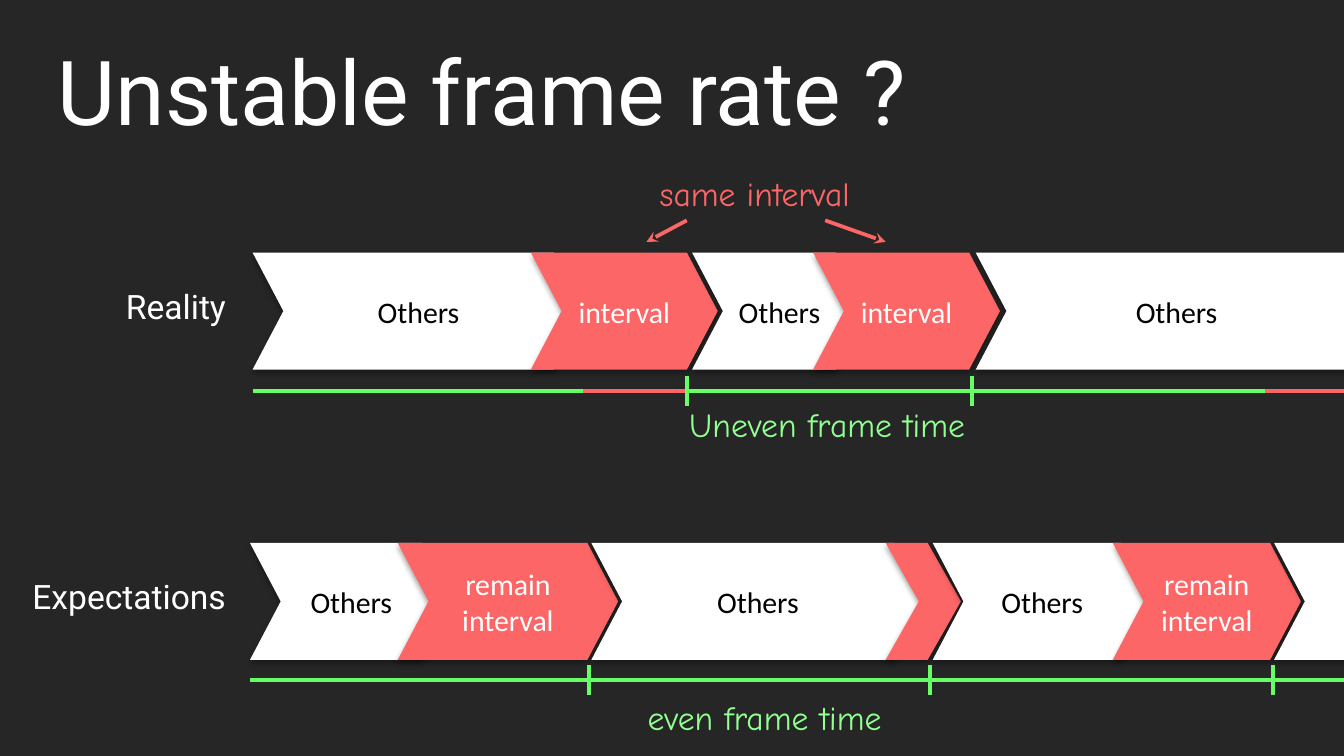
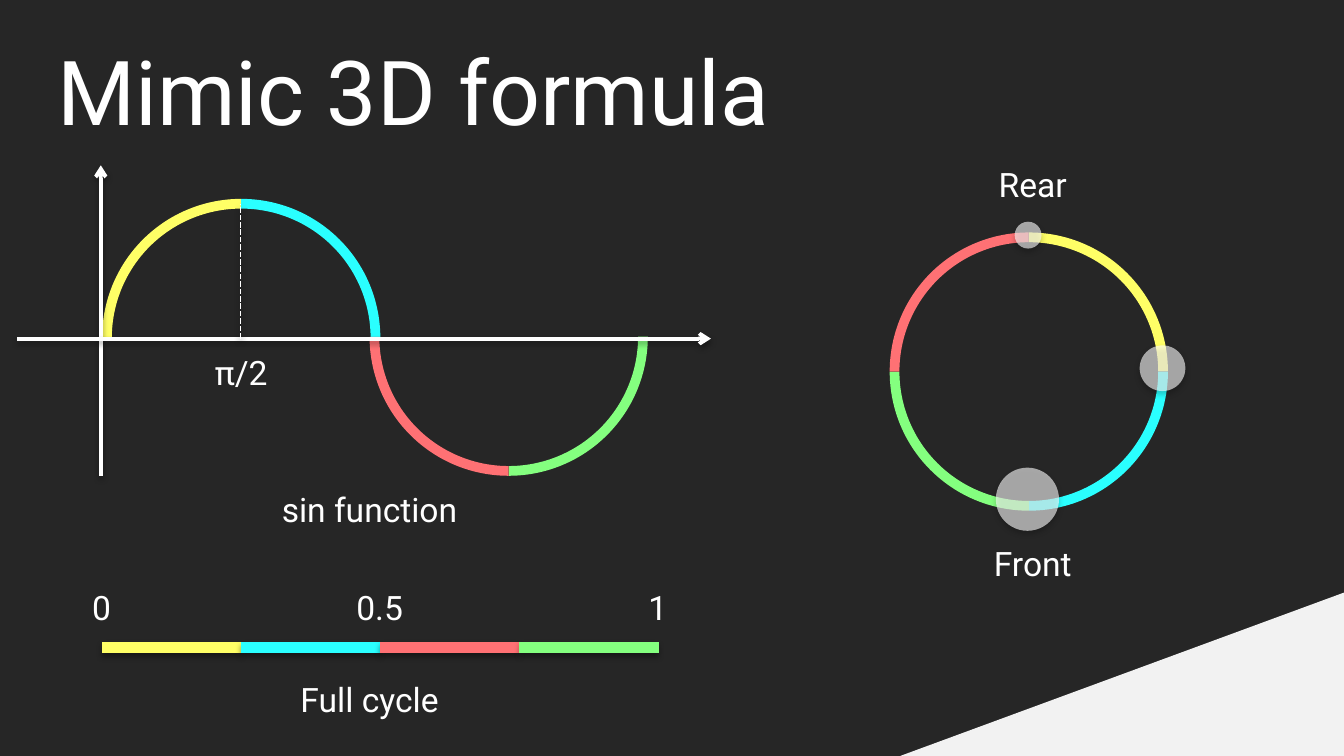
import dataclasses
import typing

import lxml.etree
import pptx
import pptx.dml.color
import pptx.enum.dml
import pptx.enum.shapes
import pptx.enum.text
import pptx.oxml.ns
import pptx.util

Pt = pptx.util.Pt
qn = pptx.oxml.ns.qn
SHAPE = pptx.enum.shapes.MSO_SHAPE
ALIGN = pptx.enum.text.PP_ALIGN
ANCHOR = pptx.enum.text.MSO_ANCHOR
FIT = pptx.enum.text.MSO_AUTO_SIZE

COLORS = {
    "back": "262626", "white": "FFFFFF", "black": "000000", "corner": "F2F2F2",
    "interval": "FD6666", "timeline": "66FF66", "caption": "91FF91",
    "yellow": "FFFF66", "cyan": "2AFFFF", "red": "FF7174", "green": "84FF7F",
}
FONTS = {
    "title": {"name": "Roboto", "size": Pt(48)},
    "label": {"name": "Roboto", "size": Pt(18)},
    "step": {"name": "Calibri", "size": Pt(16)},
    "caption": {"name": "Comic Neue", "size": Pt(18)},
}
FIXED = {"word_wrap": True, "auto_size": FIT.NONE}
GROWING = {"word_wrap": True, "auto_size": FIT.SHAPE_TO_FIT_TEXT}
UNWRAPPED = {"word_wrap": False, "auto_size": FIT.SHAPE_TO_FIT_TEXT}
CENTERED = {"word_wrap": True, "vertical_anchor": ANCHOR.MIDDLE}

CHEVRON_HEIGHT = 62.64
ARC_SIZE = 149.04
TICK_REACH = 7.92


class Area(typing.NamedTuple):
    left: float
    top: float
    width: float
    height: float


class Step(typing.NamedTuple):
    left: float
    width: float
    color: str
    text: str = ""
    notch: float = 0.263


class Caption(typing.NamedTuple):
    text: str
    color: str
    area: Area


@dataclasses.dataclass
class Timeline:
    label: str
    top: float
    left: float
    line_y: float
    frames: list[list[Step]]
    ticks: list[float]
    red_spans: list[tuple[float, float]]
    caption: Caption


TIMELINES = [
    Timeline(
        "Reality", 135.36, 135.36, 209.52,
        [[Step(135.36, 177.84, "white", "Others"), Step(284.4, 100.08, "interval", "interval")],
         [Step(370.8, 93.6, "white", "Others"), Step(435.6, 100.08, "interval", "interval")],
         [Step(522.72, 215.28, "white", "Others")]],
        [367.92, 520.56],
        [(312.48, 367.2), (677.52, 732.24)],
        Caption("Uneven frame time", "caption", Area(362.16, 213.12, 167.04, 28.8)),
    ),
    Timeline(
        "Expectations", 290.88, 133.92, 364.32,
        [[Step(133.92, 108.72, "white", "Others"),
          Step(213.12, 118.08, "interval", "remain\ninterval")],
         [Step(316.8, 178.56, "white", "Others"), Step(474.48, 40.32, "interval", notch=0.441)],
         [Step(499.68, 117.36, "white", "Others"),
          Step(596.16, 100.8, "interval", "remain\ninterval")],
         [Step(682.56, 215.28, "white")]],
        [315.36, 498.24, 681.84],
        [],
        Caption("even frame time", "caption", Area(339.84, 370.08, 141.12, 28.8)),
    ),
]
SAME_INTERVAL = Caption("same interval", "interval", Area(346.32, 89.28, 123.12, 28.8))
INTERVAL_ARROWS = [((442.08, 118.08), (474.48, 129.6)), ((367.92, 118.08), (346.32, 129.6))]

CYCLE = ["yellow", "cyan", "red", "green"]
SINE_ARCS = [(54.72, 106.56, 0), (54.72, 106.56, 90), (198, 105.84, 270), (198, 105.84, 180)]
RING_ROTATIONS = [90, 180, 0, 270]
CYCLE_LEFT, CYCLE_Y, QUARTER = 54.72, 347.04, 74.52
DOTS = [(550.44, 267.48, 33.84), (550.8, 126, 14.4), (622.8, 197.28, 24.48)]
FORMULA_LABELS = [
    ("π/2", Area(105.84, 185.04, 46.8, 28.8)),
    ("Front", Area(519.84, 287.28, 66.96, 28.8)),
    ("Rear", Area(519.84, 84.24, 66.96, 28.8)),
    ("sin function", Area(93.6, 258.48, 208.8, 28.8)),
    ("Full cycle", Area(93.6, 360, 208.8, 28.8)),
] + [(text, Area(30.96 + 149.04 * index, 311.04, 46.8, 28.8))
     for index, text in enumerate(["0", "0.5", "1"])]


def rgb(color: str) -> pptx.dml.color.RGBColor:
    return pptx.dml.color.RGBColor.from_string(COLORS[color])


def apply_format(target: typing.Any, values: dict) -> None:
    for name, value in values.items():
        setattr(target, name, value)


def set_shadow(shape: typing.Any, opacity: int = 0, distance: float = 1.8) -> None:
    """Replace the theme shadow; an opacity of zero leaves none."""
    effects = lxml.etree.SubElement(shape._element.spPr, qn("a:effectLst"))
    if opacity:
        outer = lxml.etree.SubElement(
            effects, qn("a:outerShdw"), blurRad=str(Pt(3.1)), dist=str(Pt(distance)),
            dir="5400000", rotWithShape="0")
        tone = lxml.etree.SubElement(outer, qn("a:srgbClr"), val=COLORS["black"])
        lxml.etree.SubElement(tone, qn("a:alpha"), val=str(opacity * 1000))


def write_text(frame: typing.Any, text: str, font: str, color: str,
               align: typing.Any, layout: dict) -> None:
    apply_format(frame, layout)
    for index, line in enumerate(text.split("\n")):
        para = frame.add_paragraph() if index else frame.paragraphs[0]
        para.alignment = align
        span = para.add_run()
        span.text = line
        apply_format(span.font, FONTS[font])
        span.font.color.rgb = rgb(color)


def add_text(page: typing.Any, area: Area, text: str, font: str, color: str = "white",
             align: typing.Any = ALIGN.LEFT, layout: dict = FIXED) -> None:
    box = page.shapes.add_textbox(*map(Pt, area))
    write_text(box.text_frame, text, font, color, align, layout)


def add_shape(shapes: typing.Any, kind: typing.Any, area: Area, color: str,
              adjustments: typing.Sequence[float] = (), shadow: int = 0) -> typing.Any:
    shape = shapes.add_shape(kind, *map(Pt, area))
    for index, value in enumerate(adjustments):
        shape.adjustments[index] = value
    shape.fill.solid()
    shape.fill.fore_color.rgb = rgb(color)
    shape.line.fill.background()
    set_shadow(shape, shadow)
    return shape


def add_line(page: typing.Any, start: tuple[float, float], end: tuple[float, float], color: str,
             width: float = 2, arrow: str = "", dashed: bool = False, shadow: int = 0) -> None:
    line = page.shapes.add_connector(
        pptx.enum.shapes.MSO_CONNECTOR.STRAIGHT, *map(Pt, start + end))
    line.line.color.rgb = rgb(color)
    line.line.width = Pt(width)
    if dashed:
        line.line.dash_style = pptx.enum.dml.MSO_LINE.SQUARE_DOT
    if arrow:
        lxml.etree.SubElement(line._element.spPr.find(qn("a:ln")), qn("a:tailEnd"), type=arrow)
    set_shadow(line, shadow, 1.6)


def add_page(deck: typing.Any, title: str) -> typing.Any:
    page = deck.slides.add_slide(deck.slide_layouts[6])
    page.background.fill.solid()
    page.background.fill.fore_color.rgb = rgb("back")
    add_text(page, Area(23.76, 15.84, 672.48, 64.08), title, "title", layout=CENTERED)
    return page


def add_caption(page: typing.Any, caption: Caption) -> None:
    add_text(page, caption.area, caption.text, "caption", caption.color, layout=UNWRAPPED)


def add_step(shapes: typing.Any, step: Step, top: float) -> None:
    area = Area(step.left, top, step.width, CHEVRON_HEIGHT)
    chevron = add_shape(shapes, SHAPE.CHEVRON, area, step.color, [step.notch], shadow=35)
    if step.text:
        ink = "black" if step.color == "white" else "white"
        write_text(chevron.text_frame, step.text, "step", ink, ALIGN.CENTER, CENTERED)


def add_timeline(page: typing.Any, row: Timeline) -> None:
    add_text(page, Area(5.76, row.top + 14, 122.4, 27.36), row.label, "label", align=ALIGN.RIGHT)
    for frame in row.frames:
        shapes = page.shapes.add_group_shape().shapes if len(frame) > 1 else page.shapes
        for step in frame:
            add_step(shapes, step, row.top)
    y = row.line_y
    add_line(page, (row.left, y), (732, y), "timeline")
    for start, end in row.red_spans:
        add_line(page, (start, y), (end, y), "interval")
    for x in row.ticks:
        add_line(page, (x, y - TICK_REACH), (x, y + TICK_REACH), "timeline")
    add_caption(page, row.caption)


def add_quarter_arc(shapes: typing.Any, left: float, top: float, rotation: int,
                    color: str) -> None:
    arc = add_shape(shapes, SHAPE.BLOCK_ARC, Area(left, top, ARC_SIZE, ARC_SIZE), color,
                    [108, 161.93, 0.035])
    arc.rotation = rotation


def add_dot(page: typing.Any, x: float, y: float, size: float) -> None:
    """Draw a translucent dot centred on x, y."""
    area = Area(x - size / 2, y - size / 2, size, size)
    dot = add_shape(page.shapes, SHAPE.OVAL, area, "white", shadow=35)
    tone = dot._element.spPr.find(qn("a:solidFill")).find(qn("a:srgbClr"))
    lxml.etree.SubElement(tone, qn("a:alpha"), val="60000")


def build_frame_rate(deck: typing.Any) -> None:
    page = add_page(deck, "Unstable frame rate ?")
    for row in TIMELINES:
        add_timeline(page, row)
    add_caption(page, SAME_INTERVAL)
    for start, end in INTERVAL_ARROWS:
        add_line(page, start, end, "interval", arrow="stealth")


def build_formula(deck: typing.Any) -> None:
    page = add_page(deck, "Mimic 3D formula")
    corner = add_shape(page.shapes, SHAPE.RIGHT_TRIANGLE, Area(482.4, 317.52, 237.6, 87.48),
                       "corner")
    corner._element.spPr.find(qn("a:xfrm")).set("flipH", "1")

    for color, (left, top, rotation) in zip(CYCLE, SINE_ARCS):
        add_quarter_arc(page.shapes, left, top, rotation, color)
    add_line(page, (54, 254.88), (54, 88.56), "white", arrow="arrow", shadow=38)
    add_line(page, (9.36, 181.44), (380.88, 181.44), "white", arrow="arrow", shadow=38)
    add_line(page, (128.88, 181.44), (128.88, 109.44), "white", 1, dashed=True, shadow=38)

    ring = page.shapes.add_group_shape()
    for color, rotation in zip(CYCLE, RING_ROTATIONS):
        add_quarter_arc(ring.shapes, 476.64, 124.56, rotation, color)

    for index, color in enumerate(CYCLE):
        x = CYCLE_LEFT + index * QUARTER
        add_line(page, (x, CYCLE_Y), (x + QUARTER, CYCLE_Y), color, 6, shadow=38)
    for text, area in FORMULA_LABELS:
        add_text(page, area, text, "label", align=ALIGN.CENTER, layout=GROWING)
    for x, y, size in DOTS:
        add_dot(page, x, y, size)


def main() -> None:
    deck = pptx.Presentation()
    deck.slide_width, deck.slide_height = Pt(720), Pt(405)
    build_frame_rate(deck)
    build_formula(deck)
    deck.save("out.pptx")


if __name__ == "__main__":
    main()
